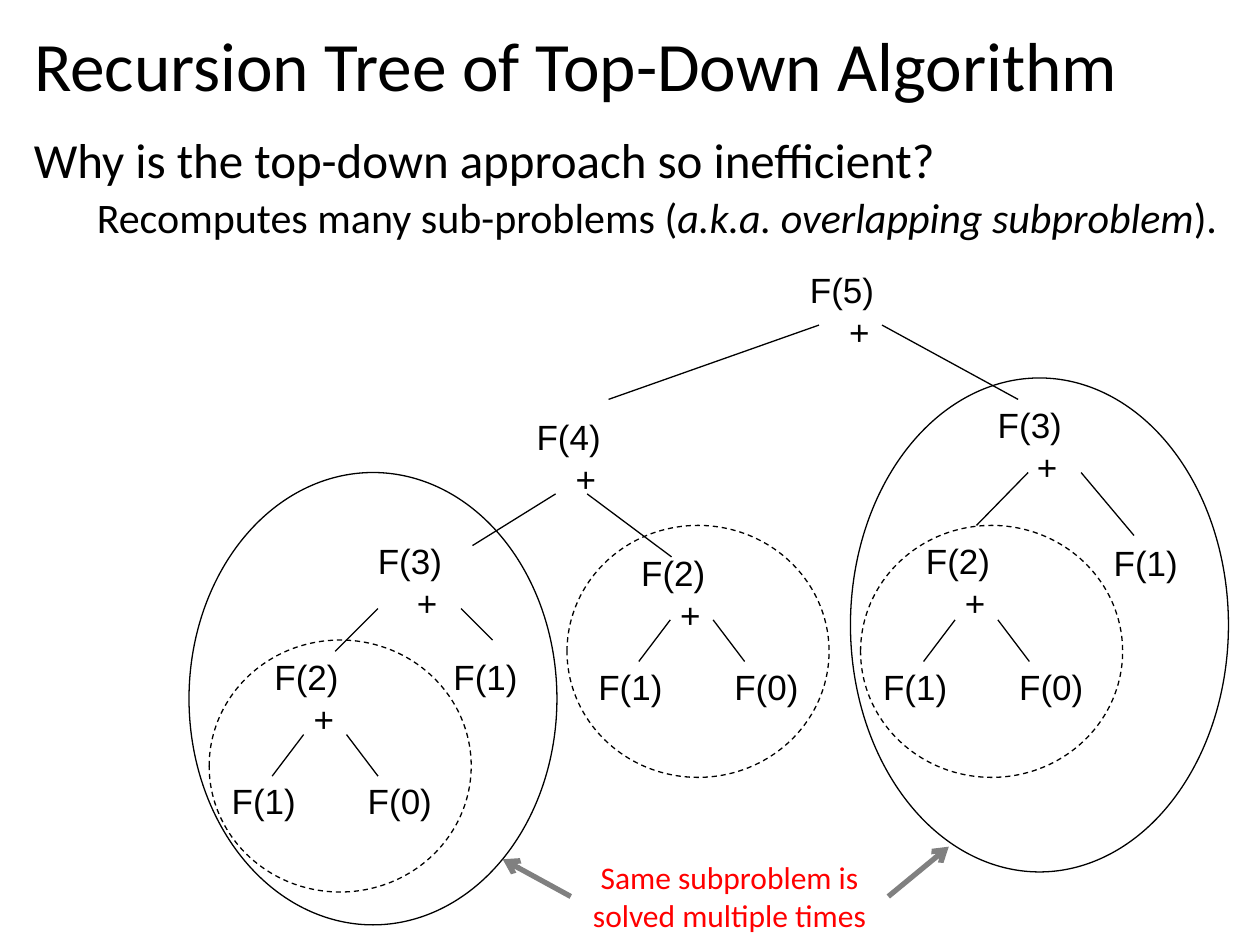
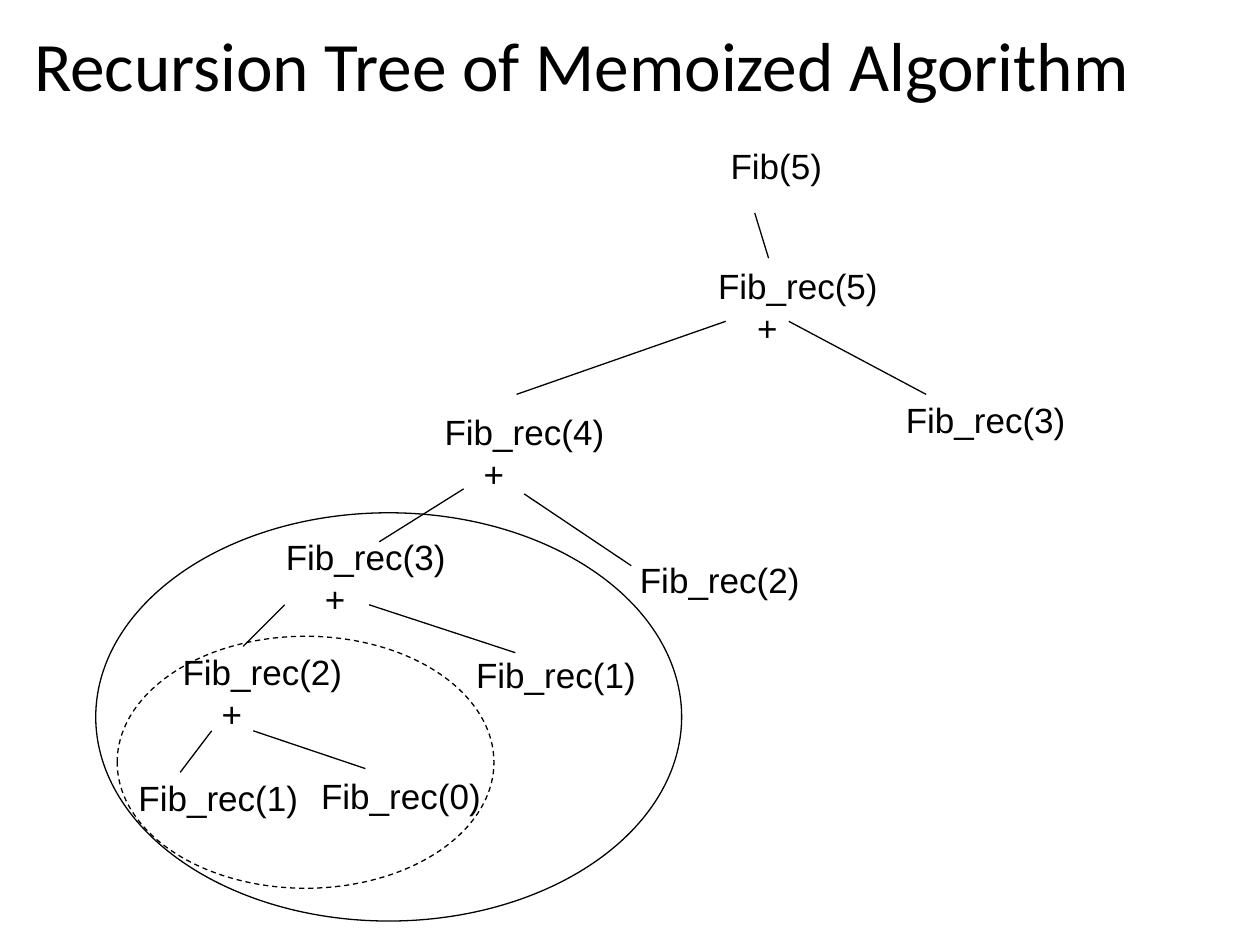
import pptx
import pptx.util
import pptx.dml.color
import pptx.enum.dml
import pptx.enum.shapes
import pptx.enum.text
import pptx.oxml.ns
from lxml import etree
from pptx.util import Inches

COLORS = {"ink": "000000", "note": "FF0000", "arrow": "808080", "paper": "FFFFFF"}
HEAD, CODE = "Calibri", "Arial"
LEFT = pptx.enum.text.PP_ALIGN.LEFT
CENTER = pptx.enum.text.PP_ALIGN.CENTER


class Deck:
    """Holds the shared style and the current slide."""

    def __init__(self):
        self.prs = pptx.Presentation()
        self.prs.slide_width, self.prs.slide_height = Inches(10), Inches(7.5)
        self.s = None

    def rgb(self, name):
        return pptx.dml.color.RGBColor.from_string(COLORS[name])

    def run(self, p, text, size, font=HEAD, color="ink", italic=False):
        r = p.add_run()
        r.text = text
        r.font.size, r.font.name, r.font.italic = pptx.util.Pt(size), font, italic
        r.font.color.rgb = self.rgb(color)

    def slide(self, title):
        self.s = self.prs.slides.add_slide(self.prs.slide_layouts[5])
        fill = self.s.background.fill
        fill.solid()
        fill.fore_color.rgb = self.rgb("paper")
        sp = self.s.shapes.title
        sp.left, sp.top, sp.width, sp.height = (Inches(v) for v in (0.17, 0.18, 9.62, 0.74))
        tf = sp.text_frame
        tf.auto_size = pptx.enum.text.MSO_AUTO_SIZE.NONE
        tf.vertical_anchor = pptx.enum.text.MSO_ANCHOR.MIDDLE
        p = tf.paragraphs[0]
        p.alignment, p.line_spacing = LEFT, 0.9
        self.run(p, title, 39.6)

    def box(self, x, y, w, h, wrap=True, grow=True):
        sp = self.s.shapes.add_textbox(Inches(x), Inches(y), Inches(w), Inches(h))
        tf = sp.text_frame
        tf.word_wrap = wrap
        size = pptx.enum.text.MSO_AUTO_SIZE
        tf.auto_size = size.SHAPE_TO_FIT_TEXT if grow else size.NONE
        return sp

    def indent(self, p, inches):
        pPr = p._p.get_or_add_pPr()
        pPr.set("marL", str(Inches(inches)))
        pPr.set("indent", "0")

    def call(self, x, y, text, w, plus=False):
        """A function call; plus marks that its children are added."""
        tf = self.box(x, y, w, 0.77 if plus else 0.44, wrap=False).text_frame
        self.run(tf.paragraphs[0], text, 20, CODE)
        if plus:
            p = tf.add_paragraph()
            self.indent(p, 0.31)
            self.run(p, "+", 20, CODE)

    def line(self, x1, y1, x2, y2, color="ink", width=0.75, arrow=False):
        c = self.s.shapes.add_connector(
            pptx.enum.shapes.MSO_CONNECTOR.STRAIGHT,
            Inches(x1), Inches(y1), Inches(x2), Inches(y2))
        c.line.color.rgb, c.line.width = self.rgb(color), pptx.util.Pt(width)
        if arrow:
            ln = c.line._get_or_add_ln()
            etree.SubElement(ln, pptx.oxml.ns.qn("a:tailEnd"), type="arrow")
        etree.SubElement(c._element.spPr, pptx.oxml.ns.qn("a:effectLst"))
        return c

    def ellipse(self, x, y, w, h, dashed=False):
        sp = self.s.shapes.add_shape(
            pptx.enum.shapes.MSO_SHAPE.OVAL, Inches(x), Inches(y), Inches(w), Inches(h))
        sp.shadow.inherit = False
        sp.fill.background()
        sp.line.color.rgb, sp.line.width = self.rgb("ink"), pptx.util.Pt(0.75)
        if dashed:
            sp.line.dash_style = pptx.enum.dml.MSO_LINE.DASH

    def tree(self, calls, edges, w):
        for x, y, text, plus in calls:
            self.call(x, y, text, w, plus)
        for edge in edges:
            self.line(*edge)

    def f2_subtree(self, x, y, ring_x, ring_y):
        """F(2) with both children inside a dashed ring."""
        calls = [(x, y, "F(2)", True),
                 (x - 0.34, ring_y + 1.06, "F(1)", False),
                 (x + 0.74, ring_y + 1.06, "F(0)", False)]
        edges = [(x + start, ring_y + 0.75, x + end, ring_y + 1.08)
                 for start, end in ((0.33, 0.08), (0.67, 0.92))]
        self.tree(calls, edges, 0.72)
        self.ellipse(ring_x, ring_y, 2.08, 2, dashed=True)


def top_down(deck):
    deck.slide("Recursion Tree of Top-Down Algorithm")

    # Question and answer
    tf = deck.box(0.17, 1.03, 9.62, 1, grow=False).text_frame
    p = tf.paragraphs[0]
    p.line_spacing, p.space_before = 0.9, pptx.util.Pt(10)
    deck.run(p, "Why is the top-down approach so inefficient?", 28)
    p = tf.add_paragraph()
    p.line_spacing, p.space_before = 0.9, pptx.util.Pt(5)
    deck.indent(p, 0.5)
    deck.run(p, "Recomputes many sub-problems (", 24)
    deck.run(p, "a.k.a. overlapping subproblem", 24, italic=True)
    deck.run(p, ").", 24)

    # Upper levels of the tree
    calls = [(6.33, 2.08, "F(5)", True), (4.16, 3.25, "F(4)", True),
             (7.82, 3.15, "F(3)", True), (2.9, 4.23, "F(3)", True),
             (8.74, 4.25, "F(1)", False), (3.5, 5.15, "F(1)", False)]
    edges = [(6.5, 2.58, 4.83, 3.17), (7, 2.58, 8.08, 3.17),
             (4.41, 3.92, 3.75, 4.33), (4.66, 3.92, 5.33, 4.42),
             (8.16, 3.75, 7.75, 4.17), (8.58, 3.75, 9, 4.25),
             (3, 4.83, 2.66, 5.17), (3.66, 4.83, 3.91, 5.08)]
    deck.tree(calls, edges, 0.72)

    # Repeated subproblems
    for place in ((2.08, 5.15, 1.66, 5.08), (4.99, 4.33, 4.5, 4.17), (7.25, 4.23, 6.83, 4.17)):
        deck.f2_subtree(*place)
    deck.ellipse(1.5, 3.75, 2.92, 3.59)
    deck.ellipse(6.75, 3, 3, 3.92)

    # Note with arrows to both F(3) rings
    note = deck.box(4.53, 6.76, 2.52, 0.71)
    p = note.text_frame.paragraphs[0]
    p.alignment = CENTER
    deck.run(p, "Same subproblem is solved multiple times", 18, color="note")
    for side, x, end_x, end_y in ((1, 4.53, 3.99, 6.82), (3, 7.05, 7.53, 6.72)):
        c = deck.line(x, 7.11, end_x, end_y, "arrow", 3, arrow=True)
        c.begin_connect(note, side)


def memoized(deck):
    deck.slide("Recursion Tree of Memoized Algorithm")

    # Calls and edges
    deck.call(5.7, 1.1, "Fib(5)", 0.93)
    calls = [(5.6, 2.05, 5, True), (3.43, 3.21, 4, True), (7.09, 3.11, 3, False),
             (2.17, 4.2, 3, True), (4.98, 4.38, 2, False), (1.35, 5.11, 2, True),
             (3.68, 5.14, 1, False), (1, 6.11, 1, False), (2.45, 6.1, 0, False)]
    edges = [(5.99, 1.69, 6.1, 2.05),
             (5.76, 2.55, 4.1, 3.13), (6.26, 2.55, 7.35, 3.13),
             (3.68, 3.88, 3.01, 4.3), (4.16, 3.92, 5.01, 4.49),
             (2.26, 4.8, 1.93, 5.13), (2.93, 4.8, 4.09, 5.18),
             (1.68, 5.8, 1.43, 6.13), (2.01, 5.8, 2.9, 6.1)]
    deck.tree([(x, y, f"Fib_rec({n})", plus) for x, y, n, plus in calls], edges, 1.48)

    # Subproblem rings
    deck.ellipse(0.93, 5.05, 2.99, 2, dashed=True)
    deck.ellipse(0.76, 4.07, 4.65, 3.24)


def main():
    deck = Deck()
    top_down(deck)
    memoized(deck)
    deck.prs.save("out.pptx")


if __name__ == "__main__":
    main()
